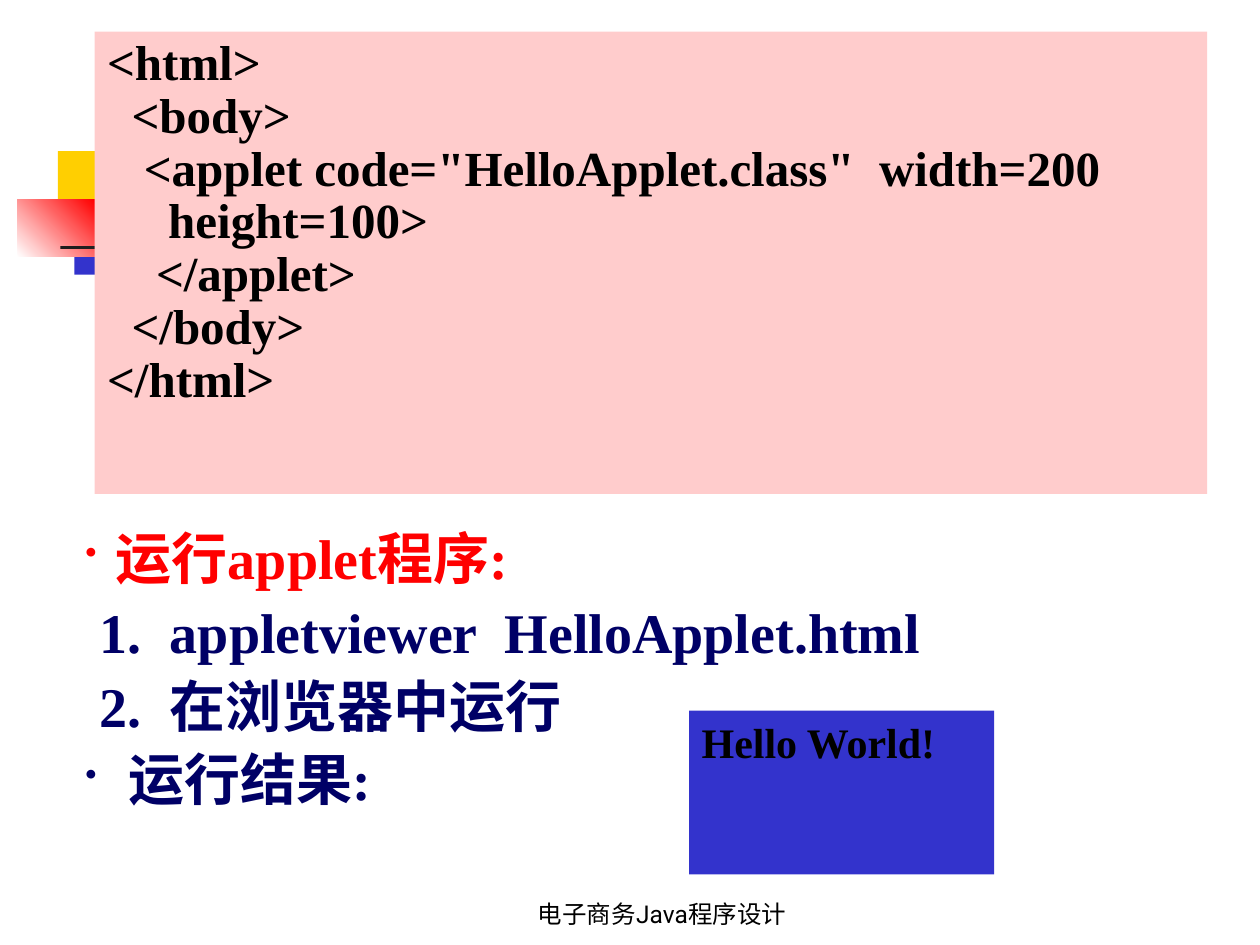
import pptx
import pptx.dml.color
import pptx.enum.shapes
import pptx.enum.text
import pptx.oxml.ns
import pptx.util
from lxml import etree

Inches = pptx.util.Inches
Pt = pptx.util.Pt
ANCHOR = pptx.enum.text.MSO_ANCHOR
ALIGN = pptx.enum.text.PP_ALIGN


def rgb(value):
    return pptx.dml.color.RGBColor.from_string(value)


class SlideBuilder:
    """Holds the style and the current slide."""

    serif, sans = "Times New Roman", "Roboto"
    black, red, navy, blue = "000000", "FF0000", "000066", "3333CC"

    def __init__(self, slide):
        self.slide = slide

    def place(self, sp, box):
        sp.left, sp.top, sp.width, sp.height = [Inches(v) for v in box]

    def rect(self, box, fill):
        sp = self.slide.shapes.add_shape(
            pptx.enum.shapes.MSO_SHAPE.RECTANGLE, *[Inches(v) for v in box])
        sp.shadow.inherit = False
        sp.line.fill.background()
        sp.fill.solid()
        sp.fill.fore_color.rgb = rgb(fill)
        return sp

    def gradient_rect(self, box, start, end, angle):
        sp = self.rect(box, start)
        sp.fill.gradient()
        sp.fill.gradient_angle = angle
        for stop, color, position in zip(sp.fill.gradient_stops, (start, end), (0, 1)):
            stop.color.rgb = rgb(color)
            stop.position = position

    def text_box(self, box, anchor=ANCHOR.TOP):
        tf = self.slide.shapes.add_textbox(*[Inches(v) for v in box]).text_frame
        tf.word_wrap = True
        tf.vertical_anchor = anchor
        return tf

    def paragraph(self, tf, text, size, color=black, font=serif, bold=True,
                  align=ALIGN.LEFT, spacing=1.0):
        p = tf.paragraphs[0] if not tf.paragraphs[0].runs else tf.add_paragraph()
        p.add_run().text = text
        p.alignment = align
        p.line_spacing = spacing
        p.space_before = Pt(0)
        p.font.size = Pt(size)
        p.font.name = font
        p.font.bold = bold
        p.font.color.rgb = rgb(color)
        return p

    def indent(self, p, left, hanging, bullet=None):
        """Set a hanging indent and a small coloured bullet, or none."""
        pPr = p._p.get_or_add_pPr()
        pPr.set("marL", str(Inches(left)))
        pPr.set("indent", str(-Inches(hanging)))
        if bullet:
            marks = (f'<a:buClr><a:srgbClr val="{bullet}"/></a:buClr>',
                     '<a:buSzPct val="60000"/>', '<a:buChar char="•"/>')
        else:
            marks = ("<a:buNone/>",)
        # Bullet elements come right before the default run properties
        def_rpr = pPr.find(pptx.oxml.ns.qn("a:defRPr"))
        ns = pptx.oxml.ns.nsdecls("a")
        for mark in marks:
            root = etree.fromstring(f"<root {ns}>{mark}</root>")
            def_rpr.addprevious(root[0])

    def code_panel(self, box, fill, lines):
        """Show code in the body placeholder."""
        sp = self.slide.placeholders[1]
        self.place(sp, box)
        sp.fill.solid()
        sp.fill.fore_color.rgb = rgb(fill)
        tf = sp.text_frame
        tf.auto_size = pptx.enum.text.MSO_AUTO_SIZE.NONE
        tf.vertical_anchor = ANCHOR.TOP
        for line in lines:
            p = self.paragraph(tf, line, 28, spacing=0.9)
            self.indent(p, 0.38, 0.38)
        # Bring the panel in front of the decoration
        self.slide.shapes._spTree.append(sp._element)


def main():
    prs = pptx.Presentation()
    prs.slide_width, prs.slide_height = Inches(10), Inches(7.5)
    s = prs.slides.add_slide(prs.slide_layouts[1])
    title = s.shapes.title._element
    title.getparent().remove(title)
    b = SlideBuilder(s)

    # Decoration
    b.rect((0.46, 1.2, 0.48, 0.52), "FFCF01")
    b.rect((0.59, 1.66, 0.46, 0.52), b.blue)
    b.gradient_rect((0.14, 1.58, 0.61, 0.46), "FFFFFF", b.red, 45)
    b.gradient_rect((0.48, 1.95, 9, 0.03), "1C1C1C", "FFFFFF", 0)

    # Footer
    tf = b.text_box((3.67, 6.92, 3.17, 0.5), ANCHOR.BOTTOM)
    b.paragraph(tf, "电子商务Java程序设计", 14, font=b.sans, bold=False,
                align=ALIGN.CENTER)

    # HTML source
    b.code_panel((0.75, 0.25, 8.83, 3.67), "FFCCCC", (
        "<html>",
        "  <body>",
        '   <applet code="HelloApplet.class"  width=200',
        "     height=100>",
        "    </applet>",
        "  </body>",
        "</html>",
    ))

    # How to run it: text, colour, left indent, hanging indent, bullet
    steps = (
        ("运行applet程序:", b.red, 0.24, 0.24, b.red),
        ("1.\tappletviewer  HelloApplet.html", b.navy, 0.67, 0.56, None),
        ("2.\t在浏览器中运行", b.navy, 0.67, 0.56, None),
        ("运行结果:", b.navy, 0.34, 0.34, b.navy),
    )
    tf = b.text_box((0.58, 4.05, 9.08, 2.45))
    for text, color, left, hanging, bullet in steps:
        p = b.paragraph(tf, text, 32, color, spacing=1.1)
        b.indent(p, left, hanging, bullet)

    # Applet window
    tf = b.rect((5.47, 5.64, 2.42, 1.3), b.blue).text_frame
    tf.vertical_anchor = ANCHOR.TOP
    b.paragraph(tf, "Hello World!", 24)

    prs.save("out.pptx")


if __name__ == "__main__":
    main()
